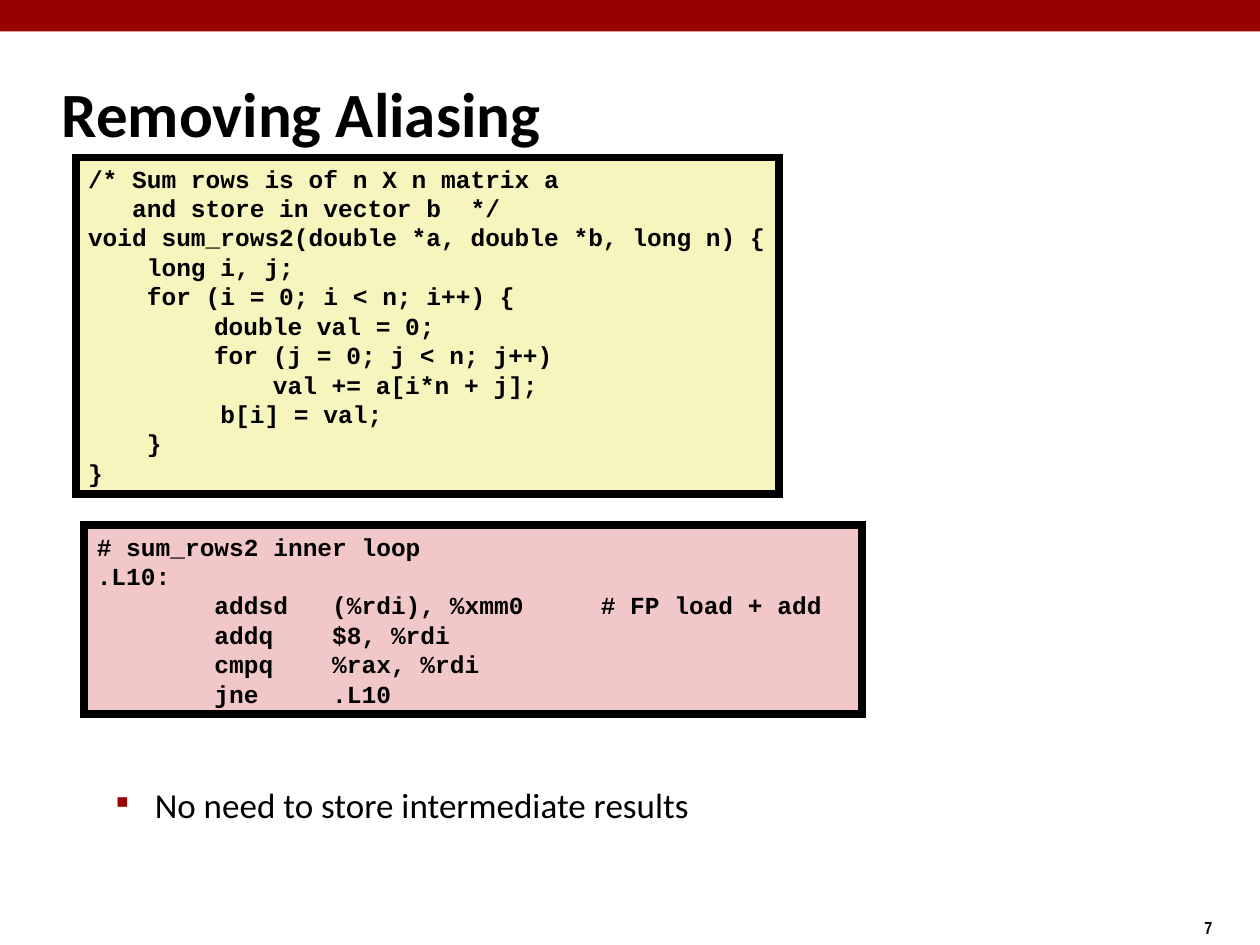
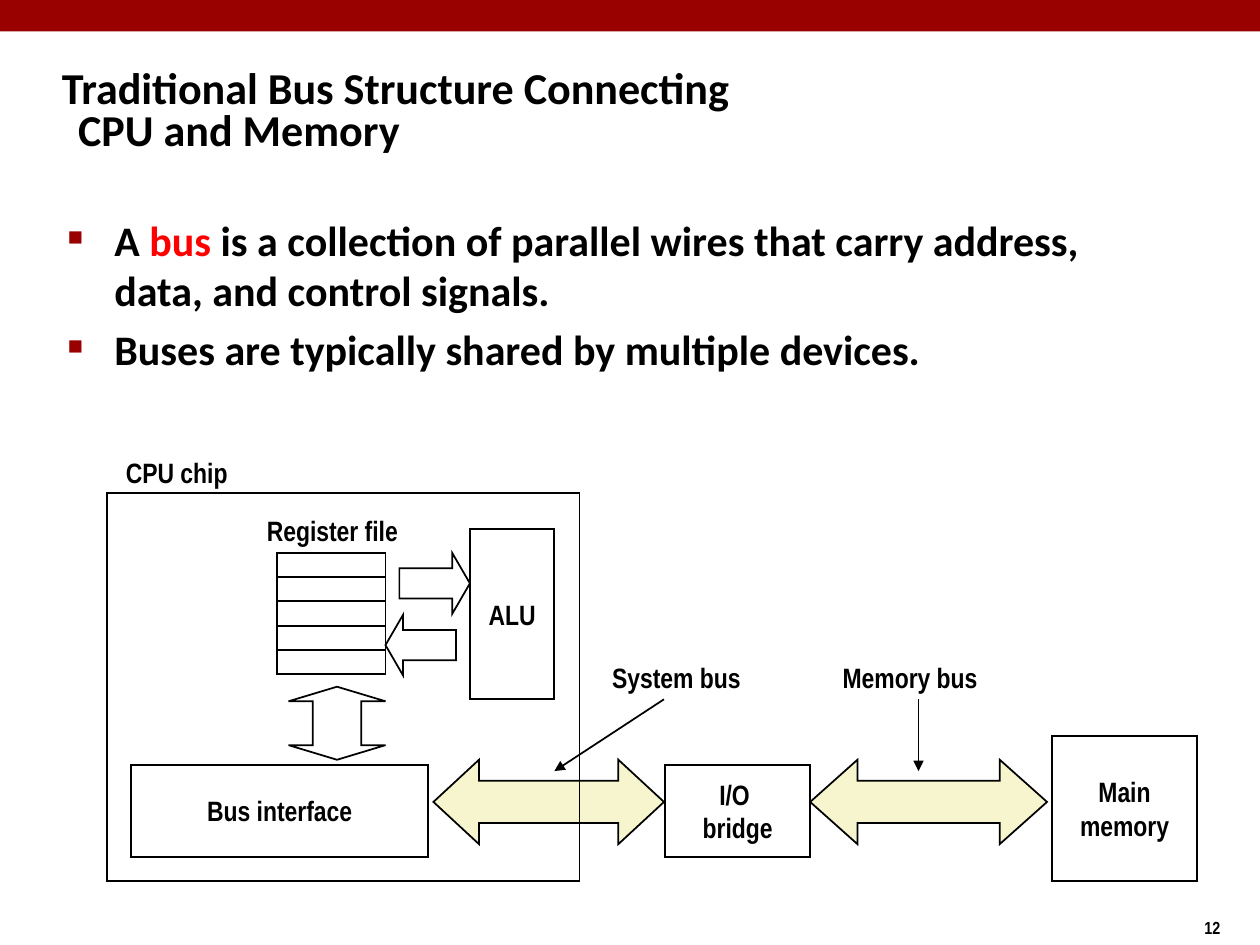
from pptx import Presentation
from pptx.dml.color import RGBColor
from pptx.enum.shapes import MSO_CONNECTOR, MSO_SHAPE
from pptx.enum.text import MSO_ANCHOR, MSO_AUTO_SIZE, PP_ALIGN
from pptx.oxml.ns import qn
from pptx.util import Inches, Pt
from lxml import etree

BLACK = RGBColor(0x00, 0x00, 0x00)
CRIMSON = RGBColor(0x99, 0x00, 0x00)
RED = RGBColor(0xFF, 0x00, 0x00)
CODE_YELLOW = RGBColor(0xF6, 0xF5, 0xBD)
CODE_PINK = RGBColor(0xF1, 0xC7, 0xC7)
BUS_YELLOW = RGBColor(0xF7, 0xF5, 0xCD)

BODY_FONT, CODE_FONT, LABEL_FONT = "Calibri", "Courier New", "Arial Narrow"
RECTANGLE = MSO_SHAPE.RECTANGLE
BUS_ARROW = MSO_SHAPE.LEFT_RIGHT_ARROW
TOP, MIDDLE = MSO_ANCHOR.TOP, MSO_ANCHOR.MIDDLE
LEFT, CENTER = PP_ALIGN.LEFT, PP_ALIGN.CENTER
TITLE_ONLY = 5

# Content: code slide
C_CODE = """/* Sum rows is of n X n matrix a
   and store in vector b  */
void sum_rows2(double *a, double *b, long n) {
    long i, j;
    for (i = 0; i < n; i++) {
\tdouble val = 0;
\tfor (j = 0; j < n; j++)
\t    val += a[i*n + j];
         b[i] = val;
    }
}"""
ASSEMBLY_CODE = """# sum_rows2 inner loop
.L10:
        addsd   (%rdi), %xmm0\t# FP load + add
        addq    $8, %rdi
        cmpq    %rax, %rdi
        jne     .L10"""
# text, box, fill, wrap, tab stop in inches
CODE_BOXES = [
    (ASSEMBLY_CODE, (0.67, 4.17, 6.17, 1.5), CODE_PINK, True, 4),
    (C_CODE, (0.6, 1.25, 5.58, 2.67), CODE_YELLOW, False, 1),
]
ALIASING_POINTS = [[("No need to store intermediate results", BLACK)]]

# Content: bus slide
BUS_POINTS = [
    [("A ", BLACK), ("bus", RED),
     (" is a collection of parallel wires that carry address, "
      "data, and control signals.", BLACK)],
    [("Buses are typically shared by multiple devices.", BLACK)],
]
UNITS = [
    ("Main\nmemory", (8.35, 5.84, 1.15, 1.15)),
    ("I/O \nbridge", (5.28, 6.07, 1.15, 0.73)),
    ("Bus interface", (1.04, 6.07, 2.36, 0.73)),
    ("ALU", (3.73, 4.2, 0.67, 1.35)),
]
# kind, box, head length as a share of the shorter side, fill
ARROWS = [
    (BUS_ARROW, (6.43, 6.03, 1.88, 0.67), 0.56, BUS_YELLOW),
    (BUS_ARROW, (3.44, 6.03, 1.83, 0.67), 0.54, BUS_YELLOW),
    (MSO_SHAPE.RIGHT_ARROW, (3.17, 4.39, 0.56, 0.48), 0.29, None),
    (MSO_SHAPE.LEFT_ARROW, (3.06, 4.88, 0.56, 0.48), 0.29, None),
    (MSO_SHAPE.UP_DOWN_ARROW, (2.29, 5.45, 0.77, 0.58), 0.2, None),
]
SHAFT_SHARE = 0.5
LABELS = [
    ("Register file", (2.02, 4.02, 1.24, 0.37)),
    ("CPU chip", (0.9, 3.56, 1.01, 0.37)),
    ("System bus", (4.76, 5.19, 1.22, 0.37)),
    ("Memory bus", (6.59, 5.19, 1.27, 0.37)),
]
POINTERS = [((5.27, 5.55), (4.4, 6.12)), ((7.29, 5.55), (7.29, 6.12))]
CPU_CHIP = (0.85, 3.91, 3.75, 3.08)
REGISTER_COUNT = 5
REGISTER_LEFT, REGISTER_TOP, REGISTER_WIDTH = 2.2, 4.39, 0.86
REGISTER_HEIGHT = 0.19


def inches(box):
    return [Inches(value) for value in box]


def style_font(font, name, size, bold=True, color=BLACK):
    font.name, font.size, font.bold = name, Pt(size), bold
    font.color.rgb = color


def write(shape, text, name, size, align=LEFT, anchor=MIDDLE, wrap=False):
    text_frame = shape.text_frame
    text_frame.text = text
    text_frame.word_wrap = wrap
    text_frame.vertical_anchor = anchor
    for paragraph in text_frame.paragraphs:
        paragraph.alignment = align
        for run in paragraph.runs:
            style_font(run.font, name, size)


def set_indent(paragraph, margin, first_line):
    properties = paragraph._p.get_or_add_pPr()
    properties.set("marL", str(Inches(margin)))
    properties.set("indent", str(Inches(first_line)))
    return properties


def add_element(parent, tag, **attributes):
    return etree.SubElement(parent, qn(tag), attributes)


def add_outlined(slide, kind, box, fill=None, line_width=1):
    shape = slide.shapes.add_shape(kind, *inches(box))
    shape.shadow.inherit = False
    if fill is None:
        shape.fill.background()
    else:
        shape.fill.solid()
        shape.fill.fore_color.rgb = fill
    shape.line.color.rgb = BLACK
    shape.line.width = Pt(line_width)
    # Square corners
    add_element(shape._element.spPr.find(qn("a:ln")), "a:miter", lim="800000")
    return shape


def add_block_arrow(slide, kind, box, head_length, fill):
    arrow = add_outlined(slide, kind, box, fill)
    geometry = arrow._element.spPr.find(qn("a:prstGeom"))
    guides = geometry.find(qn("a:avLst"))
    for guide in list(guides):
        guides.remove(guide)
    for name, share in (("adj1", SHAFT_SHARE), ("adj2", head_length)):
        add_element(guides, "a:gd", name=name, fmla=f"val {round(share * 100000)}")


def add_label(slide, text, box, size=16, **layout):
    label = slide.shapes.add_textbox(*inches(box))
    write(label, text, LABEL_FONT, size, **layout)


def start_slide(presentation, title_text, number, title_width, size, spacing):
    """Add a slide with the shared band, page number and title style."""
    slide = presentation.slides.add_slide(presentation.slide_layouts[TITLE_ONLY])
    band = add_outlined(slide, RECTANGLE, (0, 0, 10, 0.25), CRIMSON)
    band.line.fill.background()
    add_label(slide, number, (9.46, 7.23, 0.75, 0.27), 10, anchor=TOP, wrap=True)

    title = slide.shapes.title
    title.left, title.top, title.width, title.height = inches(
        (0.39, 0.48, title_width, 0.83))
    write(title, title_text, BODY_FONT, size, wrap=True)
    title.text_frame.auto_size = MSO_AUTO_SIZE.NONE
    paragraph = title.text_frame.paragraphs[0]
    paragraph.line_spacing = spacing
    set_indent(paragraph, 0.13, -0.13)
    return slide


def add_bullets(slide, box, points, size, bold, indent, bullet, bullet_percent):
    text_frame = slide.shapes.add_textbox(*inches(box)).text_frame
    text_frame.word_wrap = True
    for index, point in enumerate(points):
        paragraph = (text_frame.add_paragraph() if index
                     else text_frame.paragraphs[0])
        paragraph.space_before = Pt(size * 0.2)
        properties = set_indent(paragraph, *indent)
        bullet_color = add_element(properties, "a:buClr")
        add_element(bullet_color, "a:srgbClr", val=str(CRIMSON))
        add_element(properties, "a:buSzPct", val=str(bullet_percent * 1000))
        add_element(properties, "a:buFont", typeface=LABEL_FONT)
        add_element(properties, "a:buChar", char=bullet)
        for text, color in point:
            run = paragraph.add_run()
            run.text = text
            style_font(run.font, BODY_FONT, size, bold, color)


def add_code(slide, text, box, fill, wrap, tab_stop):
    shape = add_outlined(slide, RECTANGLE, box, fill, 4.5)
    write(shape, text, CODE_FONT, 14, anchor=TOP, wrap=wrap)
    for paragraph in shape.text_frame.paragraphs:
        tabs = add_element(paragraph._p.get_or_add_pPr(), "a:tabLst")
        add_element(tabs, "a:tab", pos=str(Inches(tab_stop)), algn="l")


def add_pointer(slide, start, end):
    pointer = slide.shapes.add_connector(
        MSO_CONNECTOR.STRAIGHT, *inches(start + end))
    pointer.line.color.rgb = BLACK
    pointer.line.width = Pt(1)
    properties = pointer._element.spPr
    add_element(properties.find(qn("a:ln")), "a:tailEnd", type="triangle")
    add_element(properties, "a:effectLst")


def build_aliasing_slide(presentation):
    slide = start_slide(presentation, "Removing Aliasing", "7", 8.3, 36, 1.0)
    add_bullets(slide, (0.32, 6.17, 9.08, 0.88), ALIASING_POINTS,
                20, False, (0.81, -0.31), "▪", 110)
    for code_box in CODE_BOXES:
        add_code(slide, *code_box)


def build_bus_slide(presentation):
    slide = start_slide(
        presentation, "Traditional Bus Structure Connecting \vCPU and Memory",
        "12", 9.61, 25.2, 0.8)
    add_bullets(slide, (0.43, 1.65, 8.64, 5.44), BUS_POINTS,
                24, True, (0.38, -0.37), "■", 60)

    # Units, register file and buses
    for text, box in UNITS:
        unit = add_outlined(slide, RECTANGLE, box)
        write(unit, text, LABEL_FONT, 16, CENTER)
    for index in range(REGISTER_COUNT):
        top = REGISTER_TOP + index * REGISTER_HEIGHT * 1.01
        add_outlined(slide, RECTANGLE,
                     (REGISTER_LEFT, top, REGISTER_WIDTH, REGISTER_HEIGHT))
    for arrow in ARROWS:
        add_block_arrow(slide, *arrow)

    # Chip outline, labels and pointers
    add_outlined(slide, RECTANGLE, CPU_CHIP)
    for text, box in LABELS:
        add_label(slide, text, box)
    for start, end in POINTERS:
        add_pointer(slide, start, end)


def main():
    presentation = Presentation()
    presentation.slide_width = Inches(10)
    presentation.slide_height = Inches(7.5)
    build_aliasing_slide(presentation)
    build_bus_slide(presentation)
    presentation.save("out.pptx")


if __name__ == "__main__":
    main()
